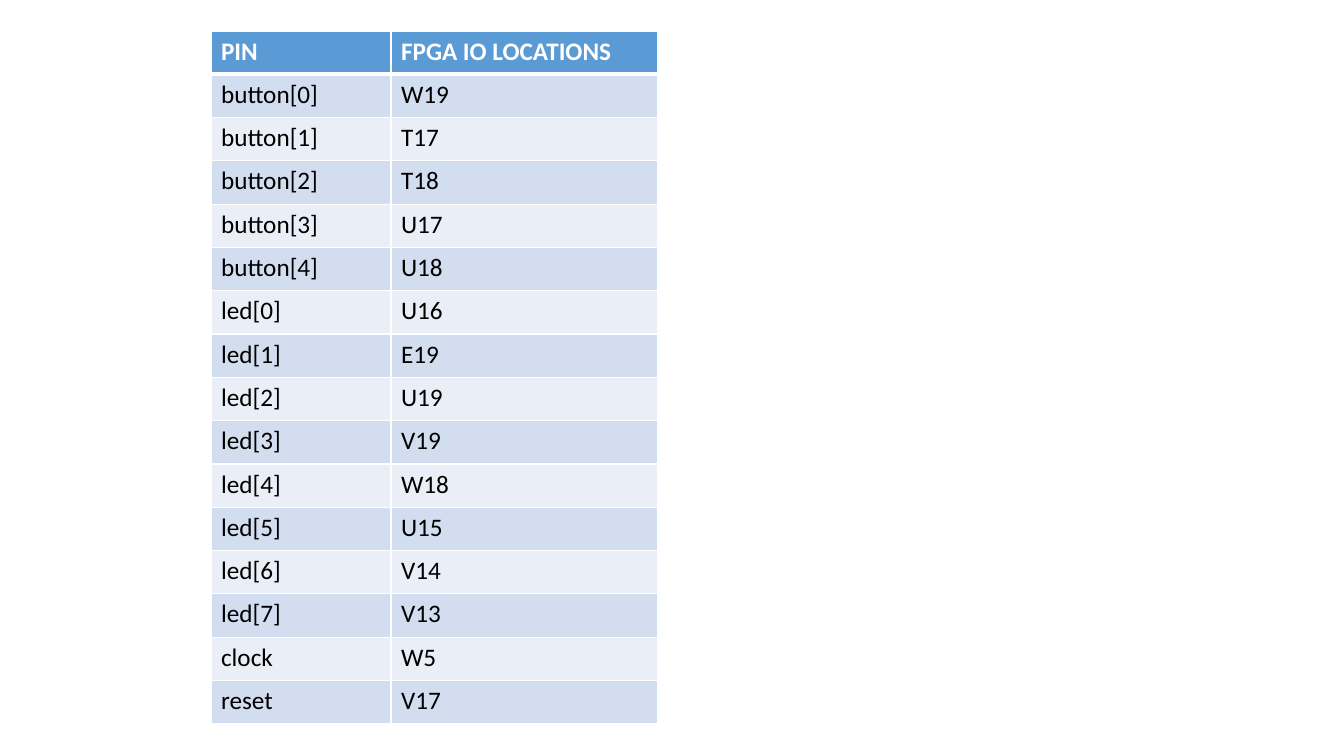
from lxml import etree
from pptx import Presentation
from pptx.dml.color import RGBColor
from pptx.oxml.ns import qn
from pptx.util import Pt

EMU_PER_PX = 914400 / 100.8
BLANK_LAYOUT = 6
FONT = "Calibri"
COLORS = {
    "header": "5B9BD5",
    "odd_row": "D2DEEF",
    "even_row": "EAEFF7",
    "grid": "FFFFFF",
    "header_text": "FFFFFF",
    "body_text": "000000",
}
HEADINGS = ("PIN", "FPGA IO LOCATIONS")
BUTTON_LOCATIONS = ("W19", "T17", "T18", "U17", "U18")
LED_LOCATIONS = ("U16", "E19", "U19", "V19", "W18", "U15", "V14", "V13")
COLUMN_WIDTHS = (180, 267)


def px(length):
    """Turn whole pixels into EMU."""
    return round(length * EMU_PER_PX)


def rgb(name):
    """Look up a named colour."""
    return RGBColor.from_string(COLORS[name])


def numbered_pins(name, locations):
    """Pair each indexed pin of a bus with its location."""
    return [(f"{name}[{index}]", location) for index, location in enumerate(locations)]


def set_border(cell, side, points):
    """Draw one side of a cell in the grid colour."""
    properties = cell._tc.get_or_add_tcPr()
    line = etree.SubElement(properties, qn(f"a:ln{side}"), w=str(Pt(points)))
    fill = etree.SubElement(line, qn("a:solidFill"))
    etree.SubElement(fill, qn("a:srgbClr"), val=COLORS["grid"])


def format_cell(cell, text, row):
    """Fill in and style a cell according to its row."""
    is_header = row == 0
    thick_side = {0: "B", 1: "T"}.get(row)
    for side in "LRTB":
        set_border(cell, side, 3 if side == thick_side else 1)
    band = "header" if is_header else "odd_row" if row % 2 else "even_row"
    cell.fill.solid()
    cell.fill.fore_color.rgb = rgb(band)
    cell.text_frame.text = text
    font = cell.text_frame.paragraphs[0].runs[0].font
    font.name = FONT
    font.size = Pt(18)
    font.bold = is_header
    font.color.rgb = rgb("header_text" if is_header else "body_text")


def add_pin_table(slide, rows, left, top, height):
    """Add the banded table of pins and their locations."""
    frame = slide.shapes.add_table(
        len(rows), len(HEADINGS), px(left), px(top), px(sum(COLUMN_WIDTHS)), px(height)
    )
    pin_table = frame.table
    for column, width in zip(pin_table.columns, COLUMN_WIDTHS):
        column.width = px(width)
    for row, texts in enumerate(rows):
        for column, text in enumerate(texts):
            format_cell(pin_table.cell(row, column), text, row)


def main():
    """Build and save the pin assignment slide."""
    deck = Presentation()
    deck.slide_width, deck.slide_height = px(1344), px(756)
    slide = deck.slides.add_slide(deck.slide_layouts[BLANK_LAYOUT])
    assignments = [
        HEADINGS,
        *numbered_pins("button", BUTTON_LOCATIONS),
        *numbered_pins("led", LED_LOCATIONS),
        ("clock", "W5"),
        ("reset", "V17"),
    ]
    add_pin_table(slide, assignments, left=211, top=31, height=693)
    deck.save("out.pptx")


main()
